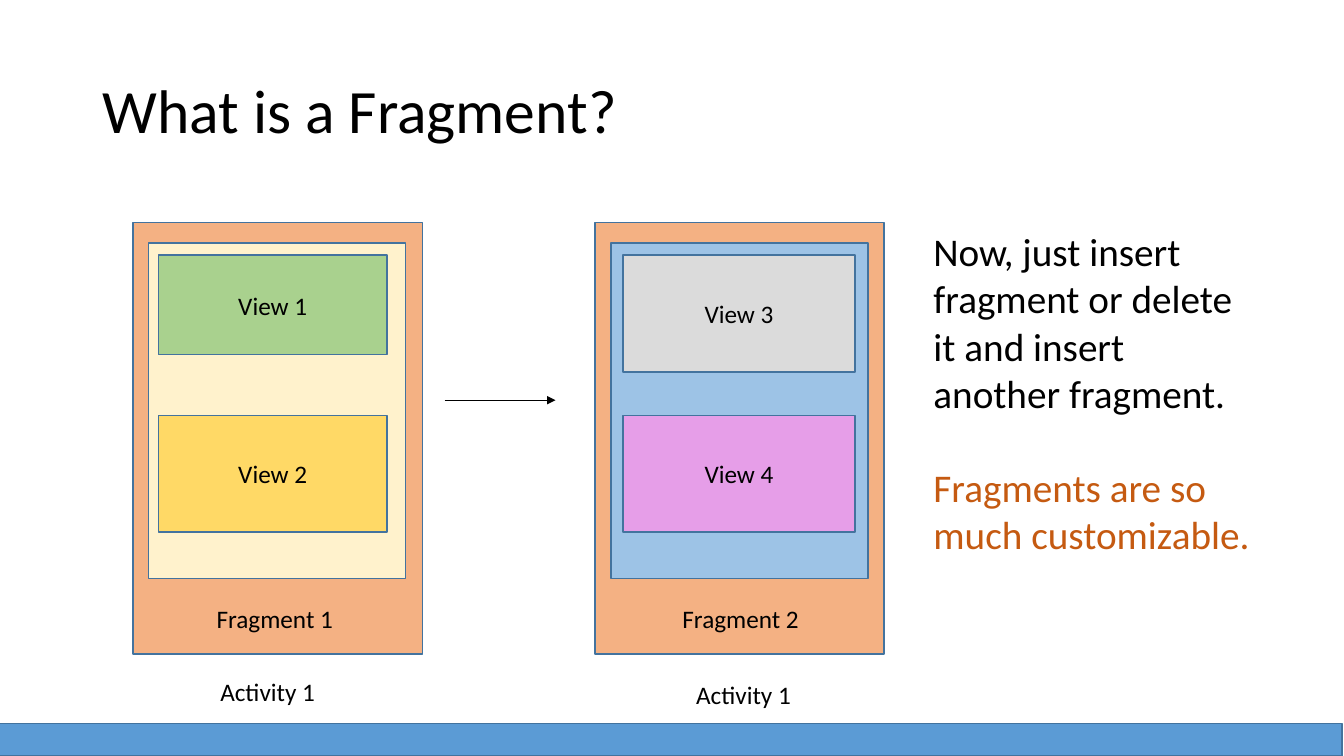
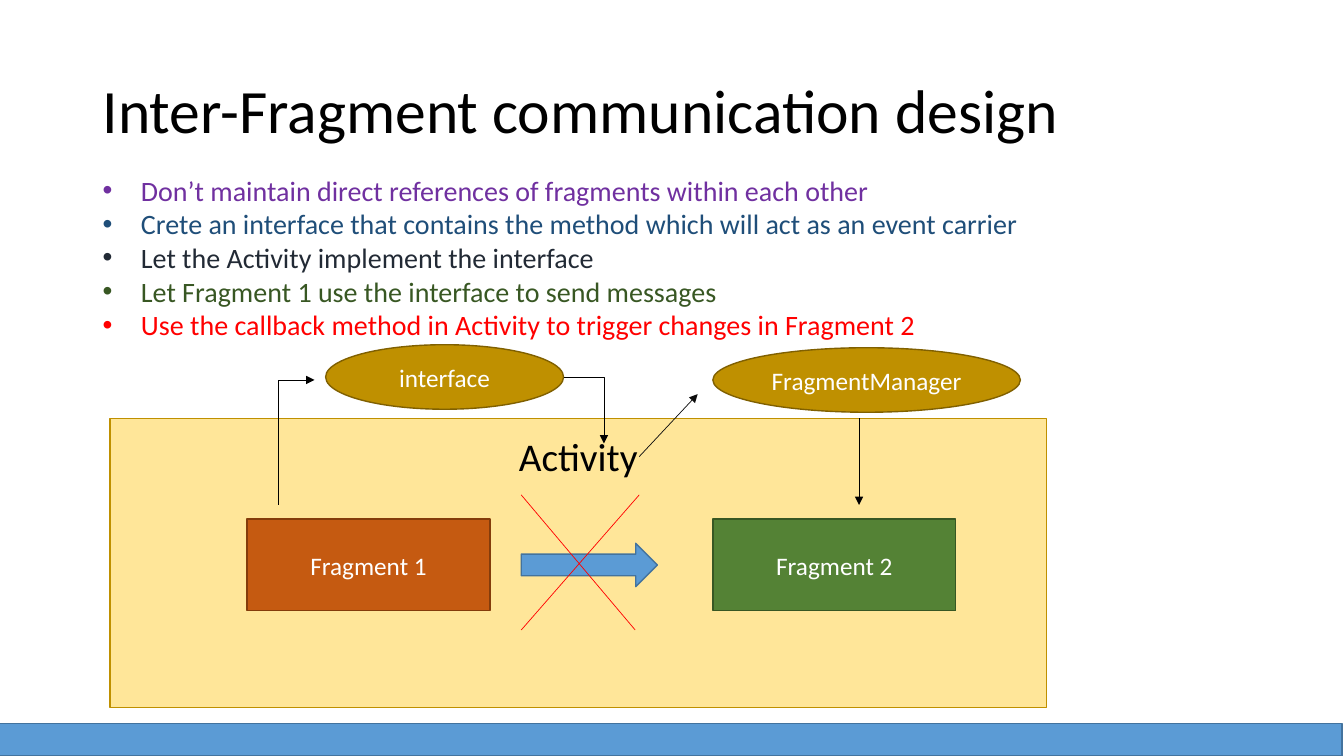
from lxml import etree
from pptx import Presentation
from pptx.dml.color import RGBColor
from pptx.enum.shapes import MSO_CONNECTOR, MSO_SHAPE
from pptx.enum.text import MSO_ANCHOR, PP_ALIGN
from pptx.oxml.ns import qn
from pptx.util import Pt

RECTANGLE = MSO_SHAPE.RECTANGLE
ELLIPSE = MSO_SHAPE.OVAL
RIGHT_ARROW = MSO_SHAPE.RIGHT_ARROW
STRAIGHT = MSO_CONNECTOR.STRAIGHT
ELBOW = MSO_CONNECTOR.ELBOW
LEFT = PP_ALIGN.LEFT
CENTER = PP_ALIGN.CENTER
TOP = MSO_ANCHOR.TOP
MIDDLE = MSO_ANCHOR.MIDDLE

EMU_PER_PX = 9144
FONT = "Calibri"
COLORS = {
    "black": "000000",
    "near_black": "0D0D0D",
    "white": "FFFFFF",
    "red": "FF0000",
    "blue": "5B9BD5",
    "blue_edge": "43739E",
    "light_blue": "9DC3E6",
    "navy": "1F4E79",
    "slate": "222A35",
    "purple": "7030A0",
    "pink": "E69EE8",
    "gray": "DBDBDB",
    "peach": "F4B183",
    "rust": "C55A11",
    "rust_edge": "843C0B",
    "cream": "FFF2CC",
    "sand": "FFE699",
    "yellow": "FFD966",
    "gold": "BF9000",
    "gold_edge": "806000",
    "light_green": "A9D18E",
    "green": "548235",
    "dark_green": "385723",
}


def px(value):
    return value * EMU_PER_PX


def color(name):
    return RGBColor.from_string(COLORS[name])


class Deck:
    def __init__(self):
        self.presentation = Presentation()
        self.presentation.slide_width = px(1333)
        self.presentation.slide_height = px(750)
        self.slide = None

    def start_slide(self, title):
        self.slide = self.presentation.slides.add_slide(self.presentation.slide_layouts[6])
        self.text((92, 40, 1150, 145), [(title, "black")], 44, anchor=MIDDLE, line_spacing=0.9)
        self.shape((-2, 718, 1333, 32), "blue")

    def fill_paragraph(self, paragraph, text, size, color_name, align):
        paragraph.text = text
        paragraph.alignment = align
        paragraph.font.name = FONT
        paragraph.font.size = Pt(size)
        paragraph.font.color.rgb = color(color_name)

    def bullet(self, paragraph, indent):
        properties = paragraph._p.get_or_add_pPr()
        properties.set("marL", str(px(indent)))
        properties.set("indent", str(-px(indent)))
        etree.SubElement(properties, qn("a:buFont")).set("typeface", "Arial")
        etree.SubElement(properties, qn("a:buChar")).set("char", "•")

    def text(self, box, lines, size, align=LEFT, anchor=TOP, line_spacing=None, gap=0, bullets=False):
        frame = self.slide.shapes.add_textbox(*map(px, box)).text_frame
        frame.word_wrap = True
        frame.vertical_anchor = anchor
        for index, (text, color_name) in enumerate(lines):
            paragraph = frame.add_paragraph() if index else frame.paragraphs[0]
            if bullets:
                self.bullet(paragraph, 38)
            if line_spacing:
                paragraph.line_spacing = line_spacing
            if index and gap:
                paragraph.space_before = Pt(gap)
            self.fill_paragraph(paragraph, text, size, color_name, align)

    def shape(self, box, fill, edge="blue_edge", text=None, text_color="white", kind=RECTANGLE):
        shape = self.slide.shapes.add_shape(kind, *map(px, box))
        shape.shadow.inherit = False
        shape.fill.solid()
        shape.fill.fore_color.rgb = color(fill)
        shape.line.color.rgb = color(edge)
        shape.line.width = Pt(1)
        if text:
            shape.text_frame.vertical_anchor = MIDDLE
            self.fill_paragraph(shape.text_frame.paragraphs[0], text, 18, text_color, CENTER)

    def line(self, start, end, color_name="black", arrow=True, kind=STRAIGHT):
        connector = self.slide.shapes.add_connector(kind, *map(px, start + end))
        connector.line.color.rgb = color(color_name)
        connector.line.width = Pt(0.5)
        properties = connector._element.spPr
        if arrow:
            tail = etree.SubElement(properties.find(qn("a:ln")), qn("a:tailEnd"))
            tail.set("type", "triangle")
        etree.SubElement(properties, qn("a:effectLst"))
        return connector

    def corner(self, start, end, up_first=False):
        connector = self.line(start, end, kind=ELBOW)
        properties = connector._element.spPr
        properties.find(qn("a:prstGeom")).set("prst", "bentConnector2")
        if up_first:
            width, height = end[0] - start[0], start[1] - end[1]
            connector.left = px(start[0] + (width - height) // 2)
            connector.top = px(end[1] + (height - width) // 2)
            connector.width, connector.height = px(height), px(width)
            transform = properties.find(qn("a:xfrm"))
            transform.attrib.pop("flipV", None)
            transform.set("rot", str(270 * 60000))


def build_fragment_slide(deck):
    deck.start_slide("What is a Fragment?")
    activities = [
        (132, 147, "cream", "Fragment 1", (205, 594, 136, 40), (167, 666, 197, 40),
         [("View 1", (157, 253, 227, 99), "light_green"),
          ("View 2", (157, 412, 227, 116), "yellow")]),
        (590, 606, "light_blue", "Fragment 2", (667, 594, 148, 40), (639, 669, 197, 40),
         [("View 3", (618, 253, 230, 116), "gray"),
          ("View 4", (618, 412, 230, 116), "pink")]),
    ]
    for left, fragment_left, fill, name, name_box, activity_box, views in activities:
        deck.shape((left, 221, 287, 428), "peach")
        deck.shape((fragment_left, 241, 255, 333), fill)
        for view, view_box, view_fill in views:
            deck.shape(view_box, view_fill, text=view, text_color="black")
        deck.text(name_box, [(name, "black")], 18)
        deck.text(activity_box, [("Activity 1", "black")], 18, align=CENTER)
    deck.line((441, 397), (551, 397))
    deck.text((916, 221, 341, 370), [
        ("Now, just insert fragment or delete it and insert another fragment.", "black"),
        ("Fragments are so much customizable.", "rust"),
    ], 28, gap=34)


def build_communication_slide(deck):
    deck.start_slide("Inter-Fragment communication design")
    deck.shape((109, 415, 929, 287), "sand", "gold")
    deck.shape((245, 515, 241, 91), "rust", "rust_edge", "Fragment 1")
    deck.shape((707, 515, 241, 91), "green", "dark_green", "Fragment 2")
    deck.shape((517, 539, 135, 43), "blue", kind=RIGHT_ARROW)
    deck.line((517, 491), (630, 625), "red", arrow=False)
    deck.line((634, 491), (517, 625), "red", arrow=False)
    deck.text((383, 424, 381, 57), [("Activity", "black")], 28, align=CENTER)
    deck.text((92, 167, 983, 178), [
        ("Don’t maintain direct references of fragments within each other", "purple"),
        ("Crete an interface that contains the method which will act as an event carrier", "navy"),
        ("Let the Activity implement the interface", "slate"),
        ("Let Fragment 1 use the interface to send messages", "dark_green"),
        ("Use the callback method in Activity to trigger changes in Fragment 2", "red"),
    ], 20, bullets=True)
    deck.shape((323, 342, 236, 64), "gold", "gold_edge", "interface", kind=ELLIPSE)
    deck.shape((707, 345, 305, 64), "gold", "gold_edge", "FragmentManager", kind=ELLIPSE)
    deck.corner((276, 501), (312, 377), up_first=True)
    deck.corner((559, 374), (599, 440))
    deck.line((634, 453), (692, 391), "near_black")
    deck.line((852, 415), (852, 501))


def main():
    deck = Deck()
    build_fragment_slide(deck)
    build_communication_slide(deck)
    deck.presentation.save("out.pptx")


if __name__ == "__main__":
    main()
